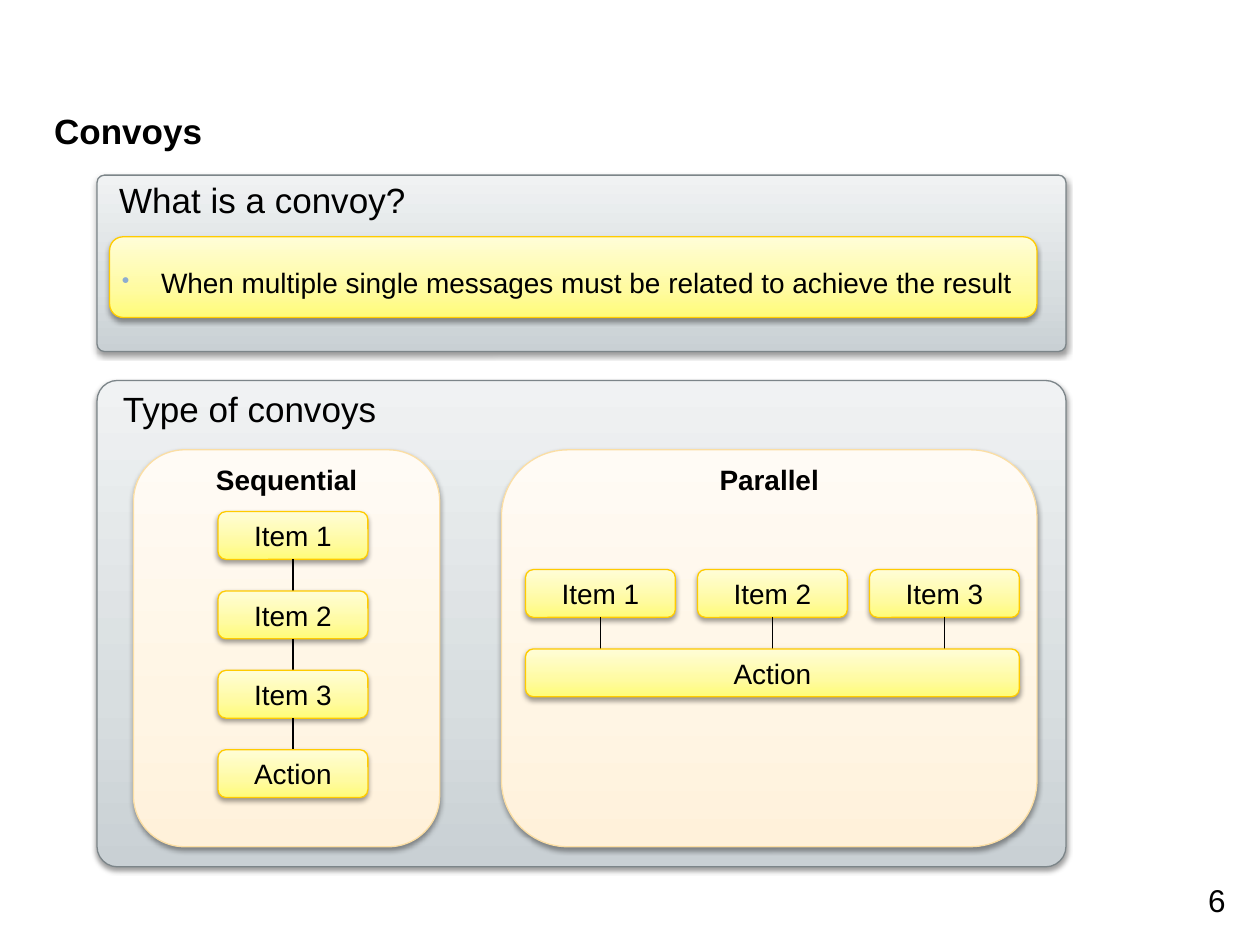
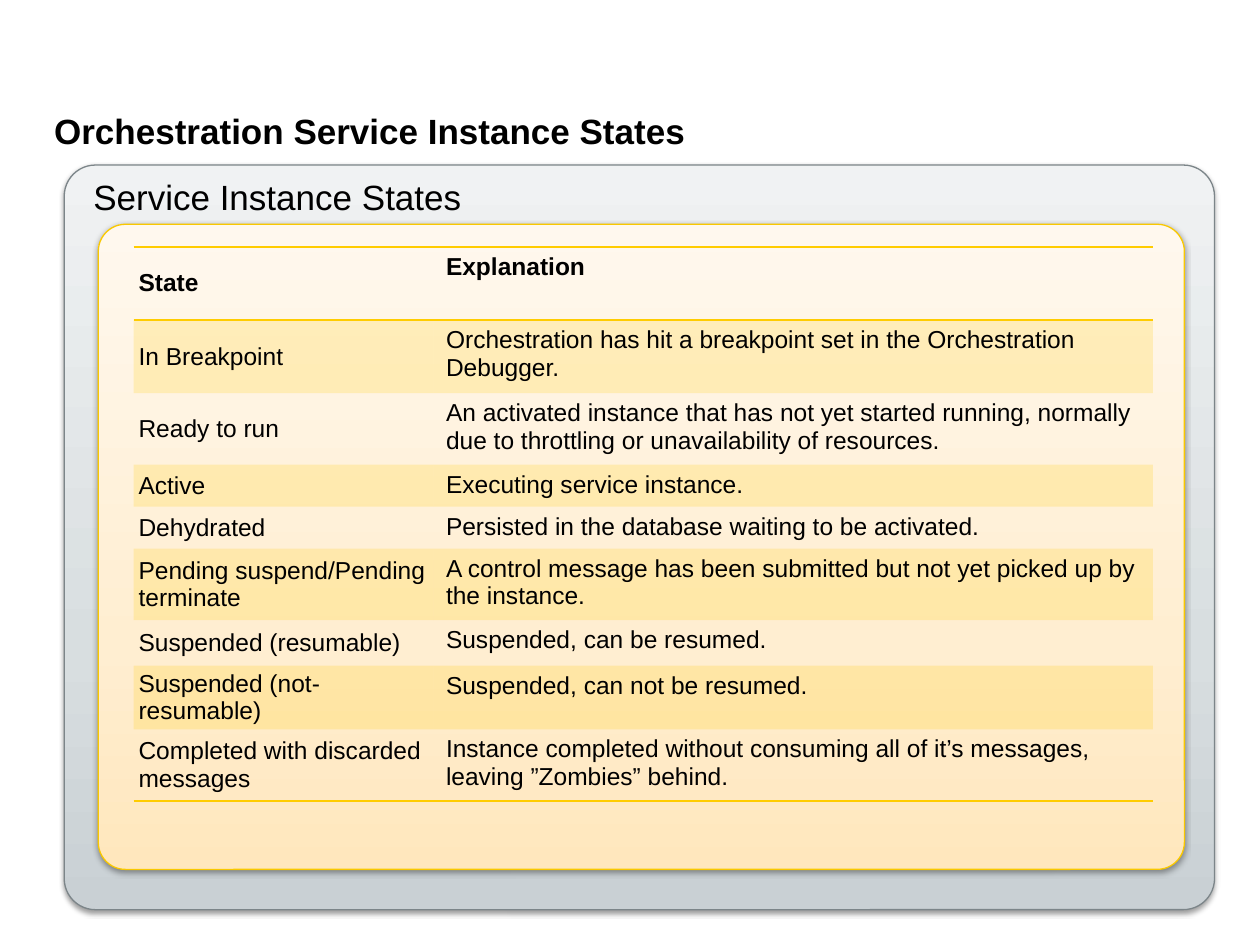
from collections import namedtuple

from lxml import etree
from pptx import Presentation
from pptx.dml.color import RGBColor
from pptx.enum.shapes import MSO_CONNECTOR, MSO_SHAPE
from pptx.enum.text import MSO_ANCHOR, PP_ALIGN
from pptx.oxml.ns import qn
from pptx.util import Inches, Pt

ROUNDED = MSO_SHAPE.ROUNDED_RECTANGLE
STRAIGHT = MSO_CONNECTOR.STRAIGHT
TOP, MIDDLE = MSO_ANCHOR.TOP, MSO_ANCHOR.MIDDLE
LEFT, CENTER = PP_ALIGN.LEFT, PP_ALIGN.CENTER

Box = namedtuple("Box", "left top width height")

FONT = "Arial"
BLACK = "000000"
GOLD = "FFCC00"
BULLET_BLUE = "8DACD0"
PLAIN_TABLE_STYLE = "{2D5ABB26-0587-4C30-8999-92F81FD0307C}"

# Each look: gradient from bottom to top, line colour, corner radius
GREY_PANEL = (("C9D0D4", "D8DEE0", "F0F2F3"), "7C8589", 0.042)
CREAM_PANEL = (("FFF1DA", "FFF5E4", "FFFBF5"), "FBDEA4", 0.167)
TABLE_PANEL = (("FFE7BD", "FFEED1", "FFF8EE"), "F9C800", 0.042)
YELLOW_BOX = (("FFFC78", "FFFBA1", "FFFDD7"), "FFCB00", 0.167)
GRADIENT_POSITIONS = (0, 35, 100)

ITEM_WIDTH, ITEM_HEIGHT, ITEM_STEP = 1.19, 0.38, 0.63
ITEMS = ("Item 1", "Item 2", "Item 3")

STATES = [
    ("State", "Explanation", 0.58),
    ("In Breakpoint",
     "Orchestration has hit a breakpoint set in the Orchestration Debugger.", 0.58),
    ("Ready to run",
     "An activated instance that has not yet started running, normally due to "
     "throttling or unavailability of resources.", 0.36),
    ("Active", "Executing service instance.", 0.31),
    ("Dehydrated", "Persisted in the database waiting to be activated.", 0.31),
    ("Pending suspend/Pending terminate",
     "A control message has been submitted but not yet picked up by the instance.", 0.36),
    ("Suspended (resumable)", "Suspended, can be resumed.", 0.36),
    ("Suspended (not-resumable)", "Suspended, can not be resumed.", 0.36),
    ("Completed with discarded messages",
     "Instance completed without consuming all of it’s messages, "
     "leaving ”Zombies” behind.", 0.36),
]


# Shared helpers

def color(value):
    return RGBColor.from_string(value)


def add_xml(parent, tag, **attributes):
    values = {name: str(value) for name, value in attributes.items()}
    return etree.SubElement(parent, qn(tag), values)


def add_solid(parent, value, alpha=None):
    element = add_xml(add_xml(parent, "a:solidFill"), "a:srgbClr", val=value)
    if alpha is not None:
        add_xml(element, "a:alpha", val=alpha * 1000)


def apply_format(target, values):
    for name, value in values.items():
        setattr(target, name, value)


def inches(box):
    return [Inches(length) for length in box]


def write(frame, text, size, bold=False, align=LEFT, spacing=1.0, indent=0, bullet=False):
    paragraph = frame.paragraphs[0]
    apply_format(paragraph, {"text": text, "alignment": align, "line_spacing": spacing})
    properties = paragraph._p.get_or_add_pPr()
    if indent:
        properties.set("marL", str(Inches(indent)))
    if bullet:
        properties.set("indent", str(-Inches(indent)))
        add_xml(add_xml(properties, "a:buClr"), "a:srgbClr", val=BULLET_BLUE)
        add_xml(properties, "a:buSzPct", val=80000)
        add_xml(properties, "a:buChar", char="•")
    font = paragraph.runs[0].font
    apply_format(font, {"name": FONT, "size": Pt(size), "bold": bold})
    font.color.rgb = color(BLACK)


def set_frame(frame, anchor=TOP, wrap=True, margin=None):
    apply_format(frame, {"vertical_anchor": anchor, "word_wrap": wrap})
    if margin is not None:
        sides = ("left", "top", "right", "bottom")
        apply_format(frame, {f"margin_{side}": Inches(margin) for side in sides})


def add_text(slide, box, text, size, anchor=TOP, margin=None, **style):
    frame = slide.shapes.add_textbox(*inches(box)).text_frame
    set_frame(frame, anchor, margin=margin)
    write(frame, text, size, **style)


def add_rounded(slide, box, look):
    gradient, line_color, radius = look
    shape = slide.shapes.add_shape(ROUNDED, *inches(box))
    shape.adjustments[0] = radius
    shape.fill.gradient()
    shape.fill.gradient_angle = 90
    properties = shape._element.spPr
    stops = properties.find(qn("a:gradFill")).find(qn("a:gsLst"))
    stops.clear()
    for position, value in zip(GRADIENT_POSITIONS, gradient):
        stop = add_xml(stops, "a:gs", pos=position * 1000)
        add_xml(stop, "a:srgbClr", val=value)
    shape.line.color.rgb = color(line_color)
    shape.line.width = Pt(0.75)

    # Soft shadow below the shape
    shape.shadow.inherit = False
    shadow = add_xml(properties.find(qn("a:effectLst")), "a:outerShdw", blurRad=Pt(3.1),
                     dist=Pt(1.6), dir=5400000, rotWithShape=0)
    add_xml(add_xml(shadow, "a:srgbClr", val=BLACK), "a:alpha", val=38000)
    return shape


def add_panel(slide, box, heading):
    frame = add_rounded(slide, box, GREY_PANEL).text_frame
    set_frame(frame)
    write(frame, heading, 20, spacing=0.9, indent=0.06)


def add_item(slide, left, top, text, width=ITEM_WIDTH):
    box = Box(left, top, width, ITEM_HEIGHT)
    frame = add_rounded(slide, box, YELLOW_BOX).text_frame
    set_frame(frame, MIDDLE, wrap=False, margin=0)
    write(frame, text, 16, align=CENTER)


def add_link(slide, item_left, item_top):
    """Line from the bottom of an item to the row below it."""
    x = item_left + ITEM_WIDTH / 2
    ends = (x, item_top + ITEM_HEIGHT, x, item_top + ITEM_STEP)
    connector = slide.shapes.add_connector(STRAIGHT, *inches(ends))
    connector.line.color.rgb = color(BLACK)
    connector.line.width = Pt(0.75)
    add_xml(connector._element.spPr, "a:effectLst")


def add_slide(presentation, title):
    slide = presentation.slides.add_slide(presentation.slide_layouts[6])
    add_text(slide, Box(0.43, 0.84, 9.14, 0.39), title, 20, MIDDLE, margin=0, bold=True)
    return slide


# Regions of the convoy slide

def add_definition(slide, box):
    add_panel(slide, box, "What is a convoy?")
    note = Box(box.left + 0.1, box.top + 0.49, 7.36, 0.64)
    add_rounded(slide, note, YELLOW_BOX)
    add_text(slide, note._replace(top=note.top + 0.21, height=0.34),
             "When multiple single messages must be related to achieve the result",
             16, spacing=0.9, indent=0.31, bullet=True)


def add_convoy_type(slide, box, heading):
    add_rounded(slide, box, CREAM_PANEL)
    add_text(slide, box._replace(top=box.top + 0.08, height=0.34), heading, 16,
             bold=True, align=CENTER, spacing=0.9)


def add_sequential(slide, box):
    add_convoy_type(slide, box, "Sequential")
    left, first_top = box.left + 0.67, box.top + 0.49
    for index, text in enumerate(ITEMS + ("Action",)):
        top = first_top + index * ITEM_STEP
        add_item(slide, left, top, text)
        if index < len(ITEMS):
            add_link(slide, left, top)


def add_parallel(slide, box):
    add_convoy_type(slide, box, "Parallel")
    first_left, top, action_width = box.left + 0.19, box.top + 0.95, 3.92
    step = (action_width - ITEM_WIDTH) / (len(ITEMS) - 1)
    for index, text in enumerate(ITEMS):
        left = first_left + index * step
        add_item(slide, left, top, text)
        add_link(slide, left, top)
    add_item(slide, first_left, top + ITEM_STEP, "Action", action_width)


def build_convoys(presentation):
    slide = add_slide(presentation, "Convoys")
    add_text(slide, Box(9.49, 6.94, 0.51, 0.4), "6", 18)
    add_definition(slide, Box(0.77, 1.39, 7.69, 1.4))
    add_panel(slide, Box(0.77, 3.02, 7.69, 3.86), "Type of convoys")
    add_sequential(slide, Box(1.06, 3.57, 2.43, 3.15))
    add_parallel(slide, Box(3.98, 3.57, 4.25, 3.15))


# Table of the states slide

def format_cell(cell, text, row_index, column_index):
    is_state = column_index == 0
    side, upright = (0.04, 0.02) if is_state else (0.1, 0.05)
    apply_format(cell, {
        "margin_left": Inches(side), "margin_right": Inches(side),
        "margin_top": Inches(upright), "margin_bottom": Inches(upright),
        "vertical_anchor": MIDDLE if is_state else TOP,
    })
    write(cell.text_frame, text, 14, bold=row_index == 0)

    # Gold rules around the header and below the last row
    properties = cell._tc.get_or_add_tcPr()
    edges = {0: ("a:lnT", "a:lnB"), len(STATES) - 1: ("a:lnB",)}
    for edge in edges.get(row_index, ()):
        add_solid(add_xml(properties, edge, w=Pt(1)), GOLD)

    # Every other row is tinted
    if row_index % 2:
        add_solid(properties, GOLD, alpha=20)
    else:
        add_xml(properties, "a:noFill")


def add_states_table(slide, left, top):
    widths = (2.38, 5.71)
    heights = [row[-1] for row in STATES]
    box = Box(left, top, sum(widths), sum(heights))
    table = slide.shapes.add_table(len(STATES), len(widths), *inches(box)).table
    apply_format(table, {"first_row": False, "horz_banding": False})
    table._tbl.tblPr.find(qn("a:tableStyleId")).text = PLAIN_TABLE_STYLE
    for column, width in zip(table.columns, widths):
        column.width = Inches(width)
    for row_index, (state, explanation, height) in enumerate(STATES):
        table.rows[row_index].height = Inches(height)
        for column_index, text in enumerate((state, explanation)):
            format_cell(table.cell(row_index, column_index), text, row_index, column_index)


def build_states(presentation):
    slide = add_slide(presentation, "Orchestration Service Instance States")
    add_panel(slide, Box(0.51, 1.31, 9.13, 5.91), "Service Instance States")
    panel = Box(0.78, 1.78, 8.62, 5.12)
    add_rounded(slide, panel, TABLE_PANEL)
    add_states_table(slide, panel.left + 0.28, panel.top + 0.18)


def main():
    presentation = Presentation()
    apply_format(presentation, {"slide_width": Inches(10), "slide_height": Inches(7.5)})
    build_convoys(presentation)
    build_states(presentation)
    presentation.save("out.pptx")


if __name__ == "__main__":
    main()
